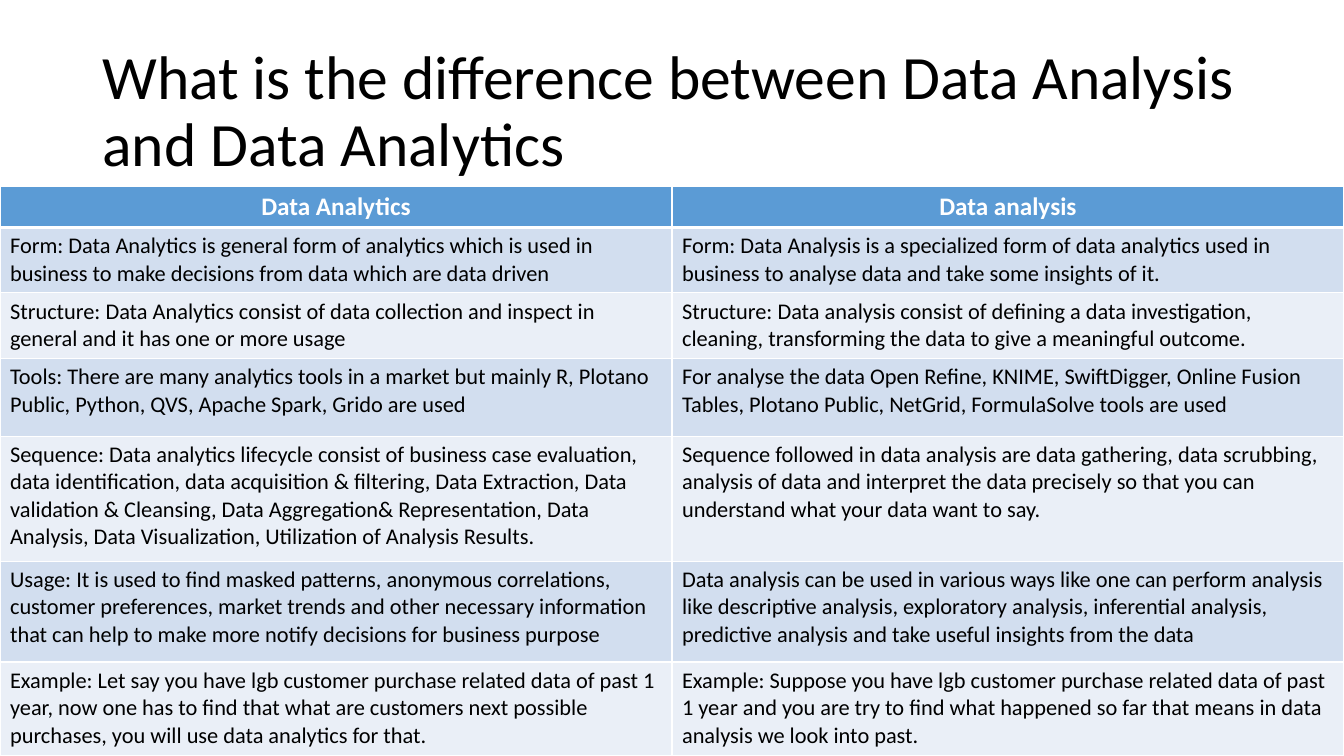
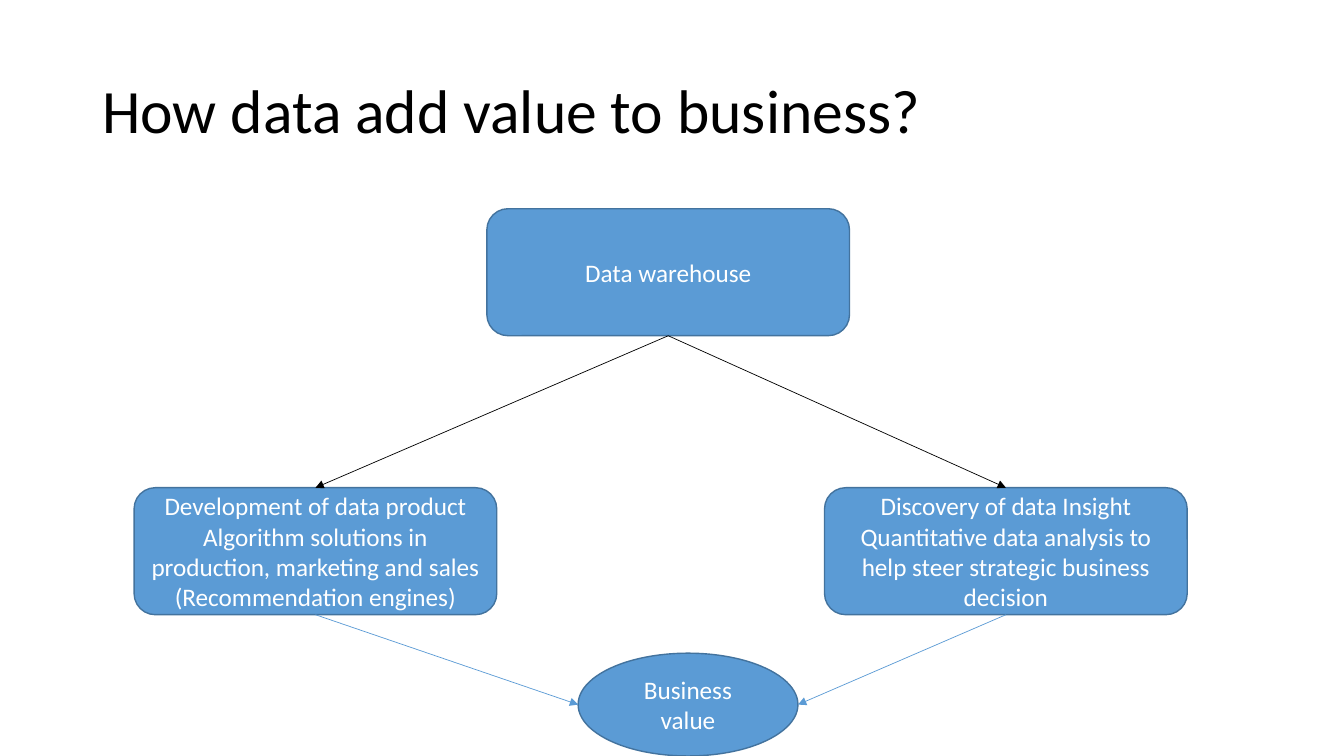
"""Build two slides: data analytics versus data analysis, and how data adds value."""
from dataclasses import dataclass

from lxml import etree
from pptx import Presentation
from pptx.dml.color import RGBColor
from pptx.enum.shapes import MSO_CONNECTOR as Link, MSO_SHAPE as Preset
from pptx.enum.text import MSO_ANCHOR as Anchor, PP_ALIGN as Align
from pptx.oxml.ns import qn
from pptx.shapes.autoshape import Shape
from pptx.shapes.connector import Connector
from pptx.slide import Slide
from pptx.table import _Cell as Cell
from pptx.text.text import TextFrame
from pptx.util import Cm, Pt


@dataclass(frozen=True)
class Theme:
    font: str = "Calibri"
    title_size: int = 44
    label_size: int = 18
    body_size: int = 16
    black: str = "000000"
    white: str = "FFFFFF"
    accent: str = "5B9BD5"
    outline: str = "43739E"
    bands: tuple[str, str] = ("D2DEEF", "EAEFF7")


@dataclass(frozen=True)
class Node:
    text: str
    left: float
    top: float
    width: float = 9.14
    height: float = 3.2
    preset: Preset = Preset.ROUNDED_RECTANGLE


@dataclass(frozen=True)
class Row:
    height: float
    analytics: str
    analysis: str


THEME = Theme()
PAGE_WIDTH, PAGE_HEIGHT = 33.87, 19.05
TABLE_TOP = 4.7
TOP, BOTTOM = 0, 2

ROWS = (
    Row(1.03, "Data Analytics", "Data analysis"),
    Row(
        1.65,
        "Form: Data Analytics is general form of analytics which is used in business "
        "to make decisions from data which are data driven",
        "Form: Data Analysis is a specialized form of data analytics used in business "
        "to analyse data and take some insights of it.",
    ),
    Row(
        1.65,
        "Structure: Data Analytics consist of data collection and inspect in general "
        "and it has one or more usage",
        "Structure: Data analysis consist of defining a data investigation, cleaning, "
        "transforming the data to give a meaningful outcome.",
    ),
    Row(
        1.96,
        "Tools: There are many analytics tools in a market but mainly R, Plotano "
        "Public, Python, QVS, Apache Spark, Grido are used",
        "For analyse the data Open Refine, KNIME, SwiftDigger, Online Fusion Tables, "
        "Plotano Public, NetGrid, FormulaSolve tools are used",
    ),
    Row(
        3.15,
        "Sequence: Data analytics lifecycle consist of business case evaluation, data "
        "identification, data acquisition & filtering, Data Extraction, Data validation "
        "& Cleansing, Data Aggregation& Representation, Data Analysis, Data "
        "Visualization, Utilization of Analysis Results.",
        "Sequence followed in data analysis are data gathering, data scrubbing, analysis "
        "of data and interpret the data precisely so that you can understand what your "
        "data want to say.",
    ),
    Row(
        2.54,
        "Usage: It is used to find masked patterns, anonymous correlations, customer "
        "preferences, market trends and other necessary information that can help to "
        "make more notify decisions for business purpose",
        "Data analysis can be used in various ways like one can perform analysis like "
        "descriptive analysis, exploratory analysis, inferential analysis, predictive "
        "analysis and take useful insights from the data",
    ),
    Row(
        2.37,
        "Example: Let say you have lgb customer purchase related data of past 1 year, "
        "now one has to find that what are customers next possible purchases, you will "
        "use data analytics for that.",
        "Example: Suppose you have lgb customer purchase related data of past 1 year and "
        "you are try to find what happened so far that means in data analysis we look "
        "into past.",
    ),
)

WAREHOUSE = Node("Data warehouse", 12.27, 5.26)
PRODUCT = Node(
    "Development of data product\nAlgorithm solutions in production, marketing and "
    "sales (Recommendation engines)",
    3.38,
    12.29,
)
INSIGHT = Node(
    "Discovery of data Insight\nQuantitative data analysis to help steer strategic "
    "business decision",
    20.78,
    12.29,
)
VALUE = Node("Business value", 14.57, 16.46, 5.54, 2.59, Preset.OVAL)


def rgb(value: str) -> RGBColor:
    return RGBColor.from_string(value)


def write(
    frame: TextFrame, text: str, size: int, color: str,
    align: Align = Align.LEFT, bold: bool = False,
) -> None:
    frame.text = text
    frame.word_wrap = True
    for para in frame.paragraphs:
        para.alignment = align
        for span in para.runs:
            span.font.name = THEME.font
            span.font.size = Pt(size)
            span.font.bold = bold
            span.font.color.rgb = rgb(color)


def add_page(deck: Presentation, title: str) -> Slide:
    page = deck.slides.add_slide(deck.slide_layouts[6])
    box = page.shapes.add_textbox(Cm(2.33), Cm(1.01), Cm(29.21), Cm(3.68))
    write(box.text_frame, title, THEME.title_size, THEME.black)
    box.text_frame.vertical_anchor = Anchor.MIDDLE
    box.text_frame.paragraphs[0].line_spacing = 0.9
    return page


def set_borders(cell: Cell, top: int, bottom: int) -> None:
    properties = cell._tc.get_or_add_tcPr()
    sides = (("a:lnL", 1), ("a:lnR", 1), ("a:lnT", top), ("a:lnB", bottom))
    for position, (tag, width) in enumerate(sides):
        line = etree.Element(qn(tag), w=str(Pt(width)))
        fill = etree.SubElement(line, qn("a:solidFill"))
        etree.SubElement(fill, qn("a:srgbClr"), val=THEME.white)
        properties.insert(position, line)


def add_comparison(page: Slide, rows: tuple[Row, ...]) -> None:
    height = sum(row.height for row in rows)
    table = page.shapes.add_table(
        len(rows), 2, Cm(0), Cm(TABLE_TOP), Cm(PAGE_WIDTH), Cm(height)
    ).table
    table.horz_banding = False
    for index, row in enumerate(rows):
        table.rows[index].height = Cm(row.height)
        header = index == 0
        for column, text in enumerate((row.analytics, row.analysis)):
            cell = table.cell(index, column)
            cell.fill.solid()
            cell.fill.fore_color.rgb = rgb(
                THEME.accent if header else THEME.bands[(index - 1) % 2]
            )
            set_borders(cell, top=3 if index == 1 else 1, bottom=3 if header else 1)
            if header:
                write(cell.text_frame, text, THEME.label_size, THEME.white, Align.CENTER, True)
            else:
                write(cell.text_frame, text, THEME.body_size, THEME.black)


def add_node(page: Slide, node: Node) -> Shape:
    shape = page.shapes.add_shape(
        node.preset, Cm(node.left), Cm(node.top), Cm(node.width), Cm(node.height)
    )
    shape.shadow.inherit = False
    shape.fill.solid()
    shape.fill.fore_color.rgb = rgb(THEME.accent)
    shape.line.color.rgb = rgb(THEME.outline)
    shape.line.width = Pt(1)
    write(shape.text_frame, node.text, THEME.label_size, THEME.white, Align.CENTER)
    shape.text_frame.vertical_anchor = Anchor.MIDDLE
    return shape


def add_arrow(page: Slide, source: Shape, end: tuple[int, int], color: str) -> Connector:
    arrow = page.shapes.add_connector(Link.STRAIGHT, 0, 0, *end)
    arrow.begin_connect(source, BOTTOM)
    arrow.line.color.rgb = rgb(color)
    arrow.line.width = Pt(0.5)
    etree.SubElement(arrow.line._get_or_add_ln(), qn("a:tailEnd"), type="triangle")
    etree.SubElement(arrow._element.spPr, qn("a:effectLst"))
    return arrow


def add_value_flow(page: Slide) -> None:
    warehouse, product, insight, value = (
        add_node(page, node) for node in (WAREHOUSE, PRODUCT, INSIGHT, VALUE)
    )
    middle = value.top + value.height // 2
    for branch, side in ((product, value.left), (insight, value.left + value.width)):
        branch_top = (branch.left + branch.width // 2, branch.top)
        add_arrow(page, warehouse, branch_top, THEME.black).end_connect(branch, TOP)
        add_arrow(page, branch, (side, middle), THEME.accent)


def main() -> None:
    deck = Presentation()
    deck.slide_width, deck.slide_height = Cm(PAGE_WIDTH), Cm(PAGE_HEIGHT)
    add_comparison(
        add_page(deck, "What is the difference between Data Analysis and Data Analytics"),
        ROWS,
    )
    add_value_flow(add_page(deck, "How data add value to business?"))
    deck.save("out.pptx")


if __name__ == "__main__":
    main()
